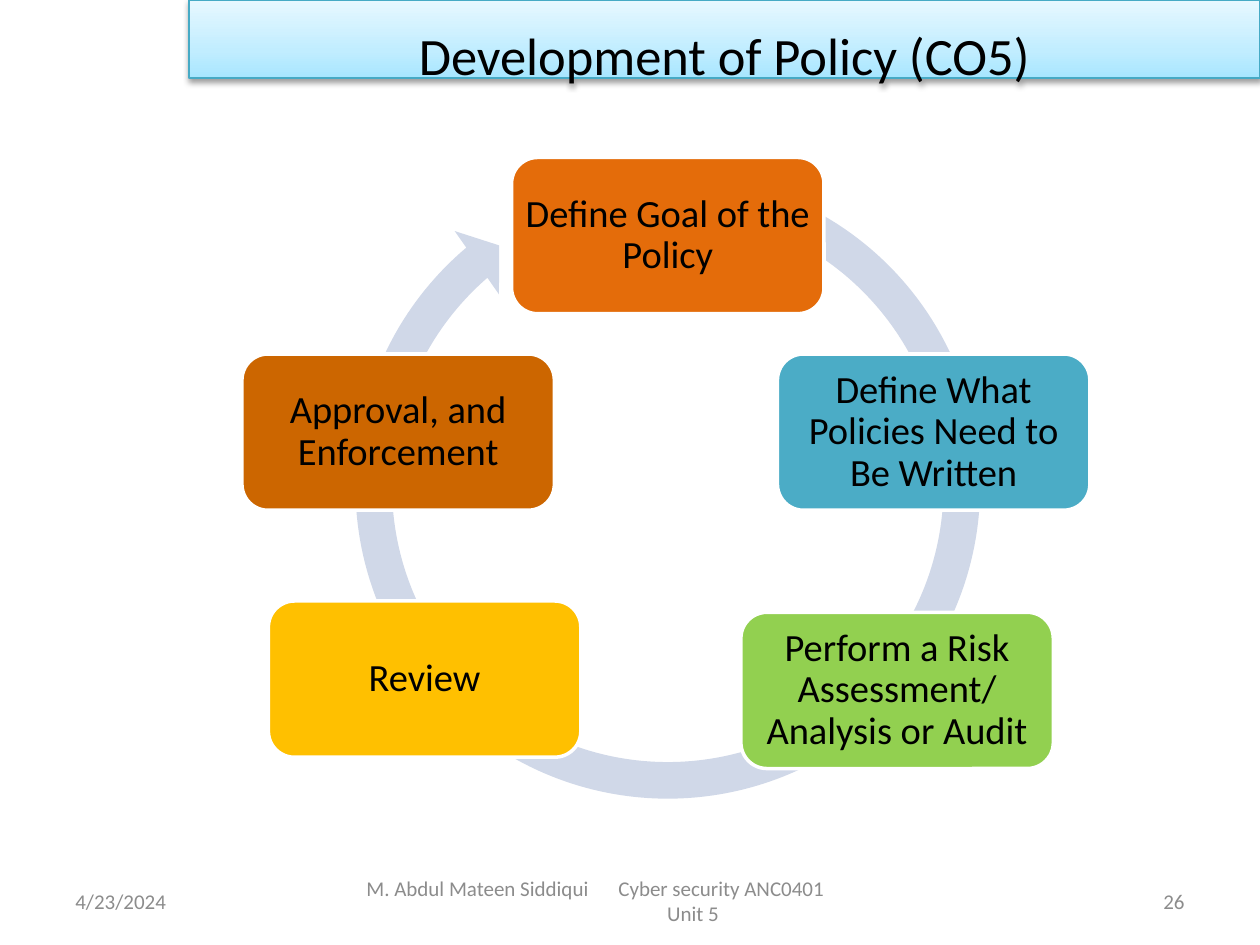
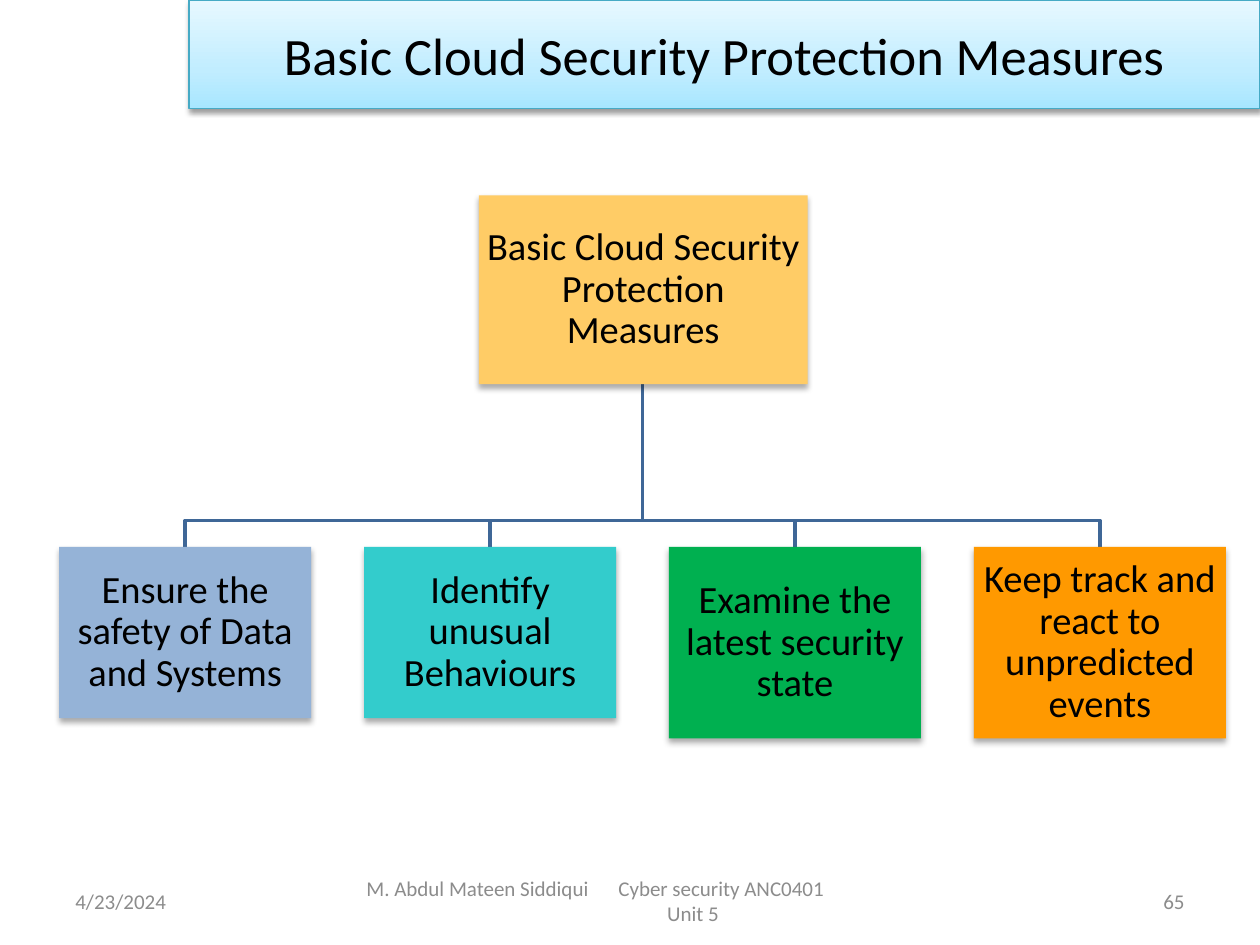
import copy

import pptx
import pptx.dml.color
import pptx.enum.shapes
import pptx.enum.text
import pptx.oxml
import pptx.oxml.ns
import pptx.util

Inches = pptx.util.Inches
Pt = pptx.util.Pt
RGB = pptx.dml.color.RGBColor
KIND = pptx.enum.shapes.MSO_SHAPE
ALIGN = pptx.enum.text.PP_ALIGN
ANCHOR = pptx.enum.text.MSO_ANCHOR
qn = pptx.oxml.ns.qn

FONT = "Calibri"
BLACK = RGB(0x00, 0x00, 0x00)
WHITE = RGB(0xFF, 0xFF, 0xFF)
GREY = RGB(0x8C, 0x8C, 0x8C)
EDGE = RGB(0x46, 0xAA, 0xC5)
RING = RGB(0xD0, 0xD8, 0xE8)
LINK = RGB(0x3F, 0x67, 0x97)
ORANGE = RGB(0xE4, 0x6C, 0x0A)
TEAL = RGB(0x4B, 0xAC, 0xC6)
LIME = RGB(0x92, 0xD0, 0x50)
GOLD = RGB(0xFF, 0xC0, 0x00)
BROWN = RGB(0xCC, 0x66, 0x00)
SAND = RGB(0xFF, 0xCC, 0x66)
BLUE = RGB(0x95, 0xB3, 0xD7)
AQUA = RGB(0x33, 0xCC, 0xCC)
GREEN = RGB(0x00, 0xB0, 0x50)
AMBER = RGB(0xFF, 0x99, 0x00)
BAND = [
    (0, RGB(0xA7, 0xE6, 0xFF)),
    (0.35, RGB(0xC1, 0xED, 0xFF)),
    (1, RGB(0xE7, 0xF8, 0xFF)),
]

DATE = "4/23/2024"
CREDIT = "M. Abdul Mateen Siddiqui\tCyber security ANC0401"
UNIT = "Unit 5"


def apply(item, values):
    """Set each named attribute of an item."""
    for name, value in values.items():
        setattr(item, name, value)


def place(shape, box):
    """Move a shape to a box given in inches."""
    names = ("left", "top", "width", "height")
    apply(shape, dict(zip(names, map(Inches, box))))


def write(shape, lines, size, color, align, inset=None, gap=1.0):
    """Fill a shape with paragraphs of one style."""
    frame = shape.text_frame
    apply(frame, {
        "word_wrap": True,
        "auto_size": pptx.enum.text.MSO_AUTO_SIZE.NONE,
        "vertical_anchor": ANCHOR.MIDDLE,
    })
    if inset is not None:
        sides = ("left", "right", "top", "bottom")
        apply(frame, {f"margin_{side}": Inches(inset) for side in sides})
    frame.text = "\n".join(lines)
    for par in frame.paragraphs:
        apply(par, {"alignment": align, "line_spacing": gap})
        apply(par.font, {"name": FONT, "size": Pt(size)})
        par.font.color.rgb = color


def shade(shape, alpha, blur, drop):
    """Give a shape a soft shadow straight below it."""
    shape.shadow.inherit = False
    effects = shape._element.spPr.find(qn("a:effectLst"))
    effects.append(pptx.oxml.parse_xml(
        f'<a:outerShdw {pptx.oxml.ns.nsdecls("a")} blurRad="{Pt(blur)}" '
        f'dist="{Pt(drop)}" dir="5400000" rotWithShape="0">'
        f'<a:srgbClr val="000000"><a:alpha val="{alpha * 1000}"/>'
        '</a:srgbClr></a:outerShdw>'))


def draw(slide, kind, box, color):
    """Add a plain filled shape without line or shadow."""
    shape = slide.shapes.add_shape(kind, *map(Inches, box))
    shape.shadow.inherit = False
    shape.fill.solid()
    shape.fill.fore_color.rgb = color
    shape.line.fill.background()
    return shape


def head(slide, text, height, gap=1.0):
    """Style the title as a gradient band."""
    title = slide.shapes.title
    place(title, (1.5, 0, 8.5, height))
    write(title, [text], 30, BLACK, ALIGN.CENTER, gap=gap)
    title.fill.gradient()
    title.fill.gradient_angle = 90
    stops = title._element.spPr.find(".//" + qn("a:gsLst"))
    stops.append(copy.deepcopy(stops[0]))
    for stop, (spot, color) in zip(title.fill.gradient_stops, BAND):
        stop.position = spot
        stop.color.rgb = color
    title.line.color.rgb = EDGE
    title.line.width = Pt(0.75)
    shade(title, 38, 3.1, 1.6)


def note(slide, left, width, lines, align):
    """Add one part of the footer."""
    box = slide.shapes.add_textbox(*map(Inches, (left, 6.95, width, 0.4)))
    write(box, lines, 12, GREY, align)
    return box


def foot(slide, number):
    """Add the date, the credit and the page number."""
    note(slide, 0.5, 2.33, [DATE], ALIGN.LEFT)
    first = note(slide, 2.75, 5.5, [CREDIT, UNIT],
                 ALIGN.CENTER).text_frame.paragraphs[0]
    first.alignment = ALIGN.LEFT
    props = first._p.get_or_add_pPr()
    props.set("marL", str(Inches(0.06)))
    props.set("indent", "0")
    props.append(pptx.oxml.parse_xml(
        f'<a:tabLst {pptx.oxml.ns.nsdecls("a")}>'
        f'<a:tab pos="{Inches(2.24)}" algn="l"/></a:tabLst>'))
    note(slide, 7.17, 2.33, [str(number)], ALIGN.RIGHT)


def start(deck, text, number, height, gap=1.0):
    """Add a slide with its title band and footer."""
    slide = deck.slides.add_slide(deck.slide_layouts[5])
    head(slide, text, height, gap)
    foot(slide, number)
    return slide


def step(slide, left, top, text, color):
    """Add one rounded step of the cycle."""
    shape = draw(slide, KIND.ROUNDED_RECTANGLE, (left, top, 2.48, 1.24), color)
    shape.line.color.rgb = WHITE
    shape.line.width = Pt(2)
    write(shape, [text], 22, BLACK, ALIGN.CENTER, 0.03, 0.9)


def card(slide, box, text, color):
    """Add one box of the tree."""
    shape = draw(slide, KIND.RECTANGLE, box, color)
    shade(shape, 32, 3.5, 2.2)
    write(shape, [text], 22, BLACK, ALIGN.CENTER, 0.02, 0.9)


def branch(slide, points):
    """Draw an open bent line through points."""
    first, *rest = [tuple(map(Inches, point)) for point in points]
    pen = slide.shapes.build_freeform(*first)
    pen.add_line_segments(rest, close=False)
    line = pen.convert_to_shape()
    line.shadow.inherit = False
    line.fill.background()
    line.line.color.rgb = LINK
    line.line.width = Pt(2)


def cycle(deck):
    """Build the policy cycle slide."""
    slide = start(deck, "Development of Policy (CO5)", 26, 0.62, 1.5)
    ring = draw(slide, KIND.CIRCULAR_ARROW, (2.66, 1.22, 5.28, 5.28), RING)
    for i, value in enumerate((0.055, 3.307, 137.708, 173.891, 0.058)):
        ring.adjustments[i] = value
    steps = [
        (4.06, 1.25, "Define Goal of the Policy", ORANGE),
        (6.17, 2.81, "Define What Policies Need to Be Written", TEAL),
        (5.88, 4.86, "Perform a Risk Assessment/ Analysis or Audit", LIME),
        (2.13, 4.77, "Review", GOLD),
        (1.92, 2.81, "Approval, and Enforcement", BROWN),
    ]
    for item in steps:
        step(slide, *item)


def tree(deck):
    """Build the cloud measures slide."""
    name = "Basic Cloud Security Protection Measures"
    slide = start(deck, name, 65, 0.86)
    leaves = [
        (1.36, "Ensure the safety of Data and Systems", BLUE),
        (1.36, "Identify unusual Behaviours", AQUA),
        (1.52, "Examine the latest security state", GREEN),
        (1.52, "Keep track and react to unpredicted events", AMBER),
    ]
    root, base, bus, top = 5.1, 3.05, 4.13, 4.34
    lefts = [0.47 + 2.42 * i for i in range(len(leaves))]
    for left in lefts:
        mid = left + 1
        branch(slide, [(root, base), (root, bus), (mid, bus), (mid, top)])
    card(slide, (3.8, 1.55, 2.61, 1.5), name, SAND)
    for left, (height, text, color) in zip(lefts, leaves):
        card(slide, (left, top, 2, height), text, color)


def main():
    """Build and save the deck."""
    deck = pptx.Presentation()
    apply(deck, {"slide_width": Inches(10), "slide_height": Inches(7.5)})
    cycle(deck)
    tree(deck)
    deck.save("out.pptx")


if __name__ == "__main__":
    main()
